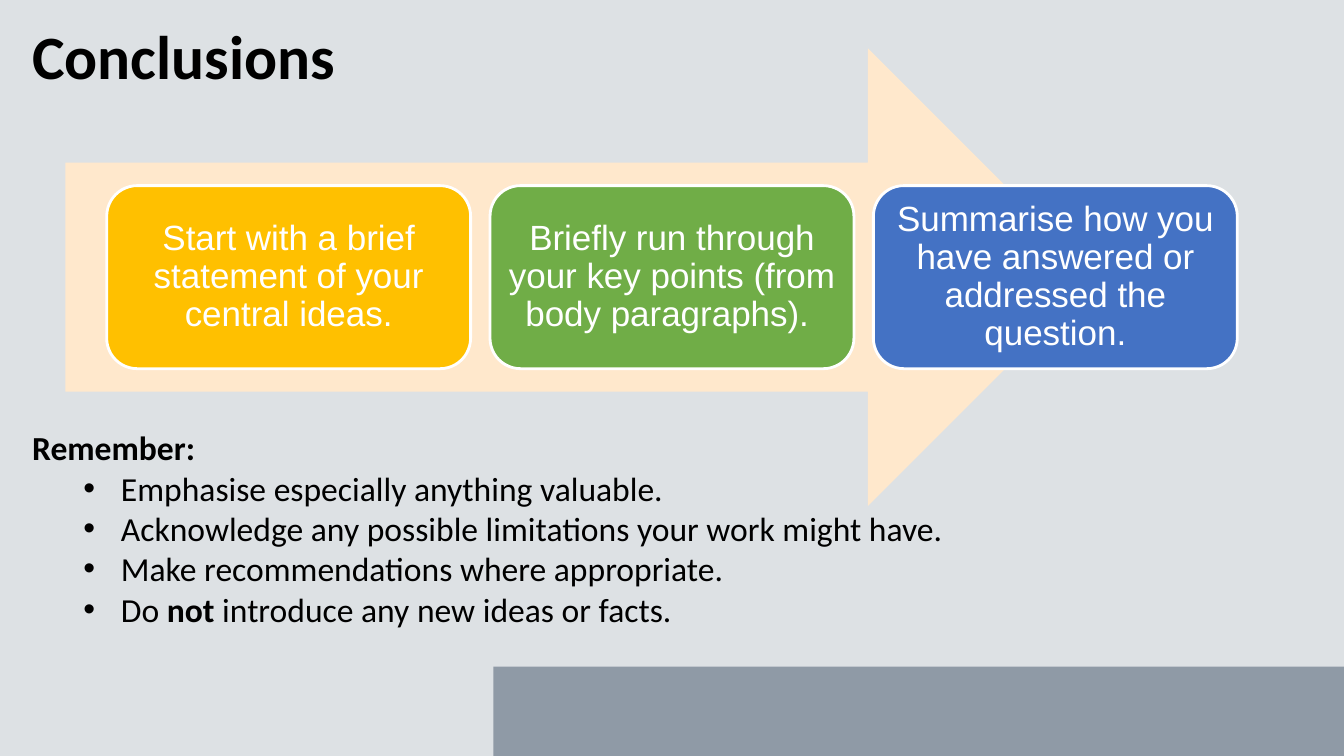
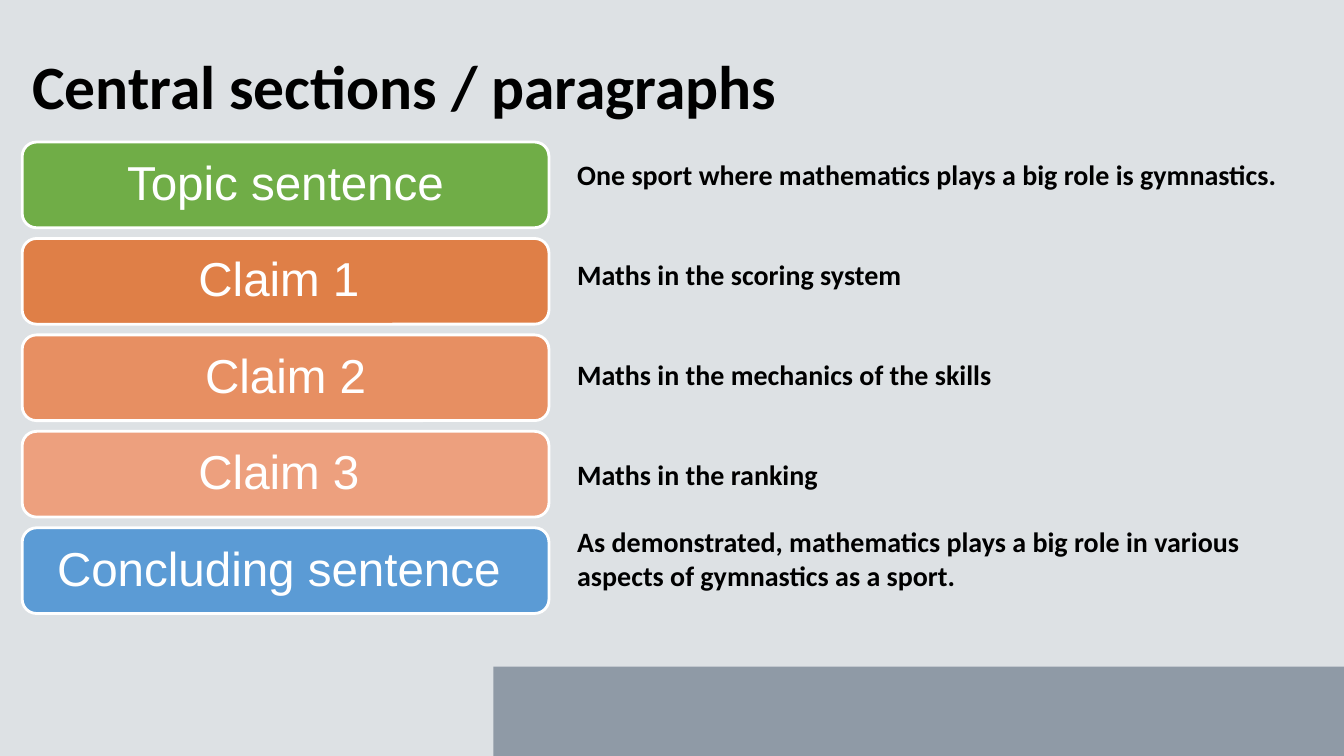
import collections

import lxml.etree
import pptx
import pptx.dml.color
import pptx.enum.shapes
import pptx.enum.text
import pptx.oxml.ns
import pptx.util

Cm = pptx.util.Cm
Pt = pptx.util.Pt
RGBColor = pptx.dml.color.RGBColor
Shapes = pptx.enum.shapes.MSO_SHAPE
Align = pptx.enum.text.PP_ALIGN
Anchor = pptx.enum.text.MSO_ANCHOR
AutoSize = pptx.enum.text.MSO_AUTO_SIZE

# Shared colours and fonts
PALE_SLATE = RGBColor(0xDD, 0xE1, 0xE4)
SLATE = RGBColor(0x8F, 0x9A, 0xA6)
BLACK = RGBColor(0x00, 0x00, 0x00)
WHITE = RGBColor(0xFF, 0xFF, 0xFF)
CREAM = RGBColor(0xFF, 0xE8, 0xCC)
GOLD = RGBColor(0xFF, 0xC0, 0x00)
GREEN = RGBColor(0x70, 0xAD, 0x47)
BLUE = RGBColor(0x44, 0x72, 0xC4)
SKY = RGBColor(0x5B, 0x9B, 0xD5)
DARK_ORANGE = RGBColor(0xDF, 0x7F, 0x47)
ORANGE = RGBColor(0xE7, 0x8F, 0x62)
LIGHT_ORANGE = RGBColor(0xED, 0xA0, 0x7E)
BODY_FONT = "Calibri"
LABEL_FONT = "Arial"

Box = collections.namedtuple("Box", "left top width height")


def cm_box(left, top, width, height):
    return Box(Cm(left), Cm(top), Cm(width), Cm(height))


def set_font(font, name, size, color, bold=False):
    font.name, font.size, font.bold = name, Pt(size), bold
    font.color.rgb = color


def add_shape(page, kind, box, color):
    shape = page.shapes.add_shape(kind, *box)
    shape.shadow.inherit = False
    shape.fill.solid()
    shape.fill.fore_color.rgb = color
    shape.line.fill.background()
    return shape


def add_label(page, box, text, color, size, inset):
    """Rounded, white-edged box with a centred label."""
    label = add_shape(page, Shapes.ROUNDED_RECTANGLE, box, color)
    label.line.color.rgb = WHITE
    label.line.width = Pt(2)
    frame = label.text_frame
    frame.word_wrap = True
    frame.vertical_anchor = Anchor.MIDDLE
    frame.margin_left = frame.margin_right = inset
    frame.margin_top = frame.margin_bottom = inset
    para = frame.paragraphs[0]
    para.text = text
    para.alignment = Align.CENTER
    para.line_spacing = 0.9
    set_font(para.font, LABEL_FONT, size, WHITE)


def add_text(page, box):
    frame = page.shapes.add_textbox(*box).text_frame
    frame.word_wrap = True
    return frame


def next_para(frame, index):
    return frame.add_paragraph() if index else frame.paragraphs[0]


def add_bullet(para):
    properties = para._p.get_or_add_pPr()
    properties.set("marL", str(Cm(2.24)))
    properties.set("indent", str(Cm(-0.95)))
    for tag, name, value in (("a:buFont", "typeface", "Arial"), ("a:buChar", "char", "•")):
        mark = lxml.etree.SubElement(properties, pptx.oxml.ns.qn(tag))
        mark.set(name, value)


def add_page(deck, title, title_box):
    """Page with the shared band and title style."""
    page = deck.slides.add_slide(deck.slide_layouts[6])
    add_shape(page, Shapes.RECTANGLE, cm_box(12.44, 16.8, 21.44, 2.25), SLATE)
    frame = add_text(page, title_box)
    frame.vertical_anchor = Anchor.MIDDLE
    para = frame.paragraphs[0]
    para.text = title
    para.line_spacing = 0.9
    set_font(para.font, BODY_FONT, 44, BLACK, True)
    return page


def add_step_arrow(page, box, steps):
    """Wide arrow with a row of equal steps over it."""
    add_shape(page, Shapes.RIGHT_ARROW, box._replace(width=int(box.width * 0.88)), CREAM)
    indent, gap = Cm(1.04), Cm(0.49)
    width = (box.width - indent - gap * (len(steps) - 1)) // len(steps)
    top, height = box.top + int(box.height * 0.3), int(box.height * 0.4)
    for index, (text, color) in enumerate(steps):
        left = box.left + indent + index * (width + gap)
        add_label(page, Box(left, top, width, height), text, color, 25, Cm(0.25))


def add_reminders(page, box, heading, reminders):
    """Bold heading over bullets; each bullet is a list of (text, bold) spans."""
    frame = add_text(page, box)
    frame.auto_size = AutoSize.SHAPE_TO_FIT_TEXT
    frame.paragraphs[0].text = heading
    set_font(frame.paragraphs[0].font, BODY_FONT, 24, BLACK, True)
    for spans in reminders:
        para = frame.add_paragraph()
        add_bullet(para)
        set_font(para.font, BODY_FONT, 24, BLACK)
        for text, bold in spans:
            span = para.add_run()
            span.text = text
            if bold:
                span.font.bold = True


def add_section_stack(page, box, sections):
    """Column of equal labels."""
    gap = Cm(0.27)
    height = (box.height - gap * (len(sections) - 1)) // len(sections)
    for index, (text, color) in enumerate(sections):
        row = Box(box.left, box.top + index * (height + gap), box.width, height)
        add_label(page, row, text, color, 34, Cm(0.36))


def add_examples(page, box, examples):
    """Bold example sentences, each with its gap above in points."""
    frame = add_text(page, box)
    frame.auto_size = AutoSize.SHAPE_TO_FIT_TEXT
    for index, (text, gap) in enumerate(examples):
        para = next_para(frame, index)
        para.text = text
        para.space_before = Pt(gap)
        set_font(para.font, BODY_FONT, 20, BLACK, True)


def build_conclusions(deck):
    page = add_page(deck, "Conclusions", cm_box(0.56, -0.33, 30.56, 3.68))
    add_step_arrow(page, cm_box(1.65, 1.22, 29.54, 11.53), [
        ("Start with a brief statement of your central ideas.", GOLD),
        ("Briefly run through your key points (from body paragraphs). ", GREEN),
        ("Summarise how you have answered or addressed the question.", BLUE),
    ])
    add_reminders(page, cm_box(0.56, 10.64, 24.13, 6.35), "Remember:", [
        [("Emphasise especially anything valuable.", False)],
        [("Acknowledge any possible limitations your work might have.", False)],
        [("Make recommendations where appropriate.", False)],
        [("Do ", False), ("not ", True), ("introduce any new ideas or facts.", False)],
    ])


def build_central_sections(deck):
    page = add_page(deck, "Central sections / paragraphs", cm_box(0.56, 0.41, 32.56, 3.68))
    add_section_stack(page, cm_box(0.56, 3.58, 13.28, 11.88), [
        ("Topic sentence", GREEN),
        ("Claim 1 ", DARK_ORANGE),
        ("Claim 2", ORANGE),
        ("Claim 3 ", LIGHT_ORANGE),
        ("Concluding sentence ", SKY),
    ])
    add_examples(page, cm_box(14.3, 3.84, 19.02, 12.12), [
        ("One sport where mathematics plays a big role is gymnastics.", 0),
        ("Maths in the scoring system", 47.5),
        ("Maths in the mechanics of the skills", 47.5),
        ("Maths in the ranking", 47.5),
        ("As demonstrated, mathematics plays a big role in various "
         "aspects of gymnastics as a sport.", 24),
    ])


def main():
    deck = pptx.Presentation()
    deck.slide_width, deck.slide_height = Cm(33.88), Cm(19.05)
    backdrop = deck.slide_master.background.fill
    backdrop.solid()
    backdrop.fore_color.rgb = PALE_SLATE
    build_conclusions(deck)
    build_central_sections(deck)
    deck.save("out.pptx")


if __name__ == "__main__":
    main()
